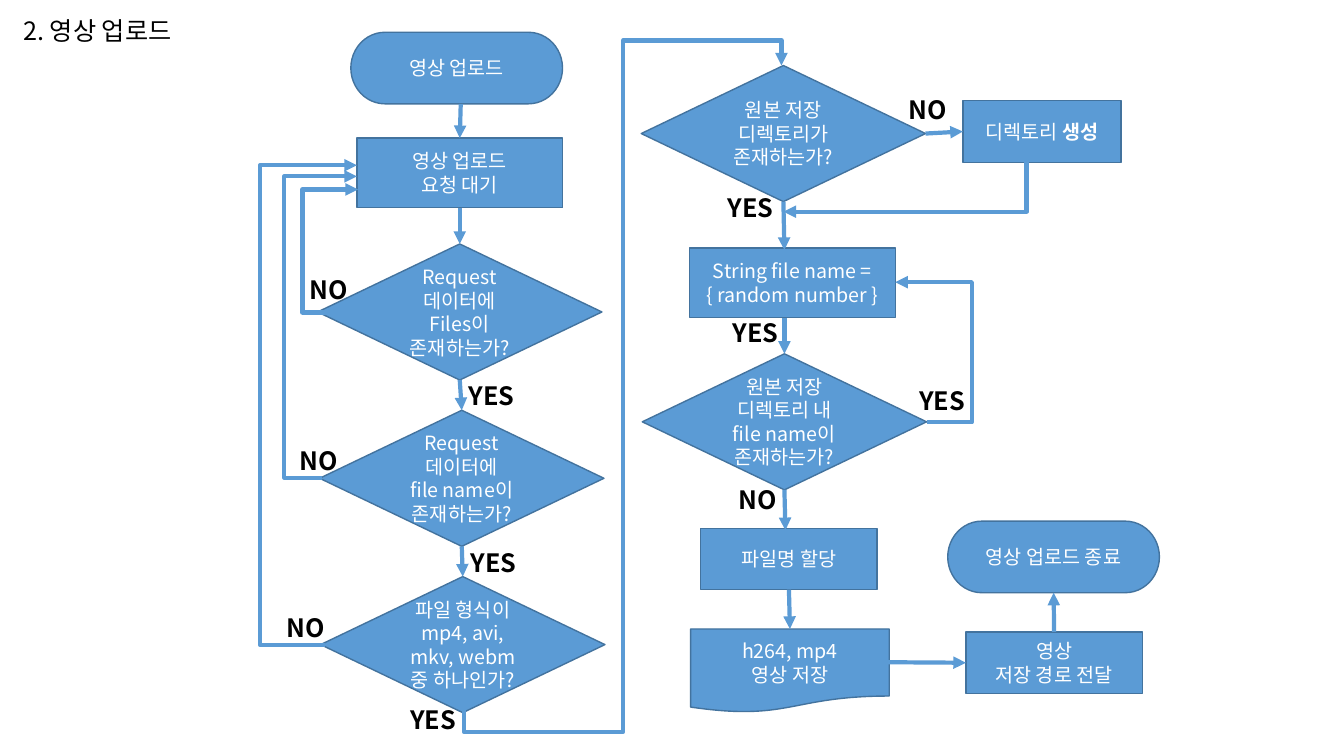
"""Builds the flowchart slide for the video upload procedure."""
from dataclasses import dataclass

from lxml.etree import SubElement
from pptx import Presentation
from pptx.dml.color import RGBColor
from pptx.enum.shapes import MSO_CONNECTOR, MSO_SHAPE
from pptx.enum.text import MSO_ANCHOR, PP_ALIGN
from pptx.oxml.ns import qn
from pptx.shapes.autoshape import Shape
from pptx.shapes.connector import Connector
from pptx.slide import Slide
from pptx.text.text import TextFrame
from pptx.util import Pt

PX = 9144
FONT = "Noto Sans CJK KR"
BLUE = RGBColor(0x5B, 0x9B, 0xD5)
OUTLINE = RGBColor(0x43, 0x73, 0x9E)
WHITE = RGBColor(0xFF, 0xFF, 0xFF)
BLACK = RGBColor(0x00, 0x00, 0x00)

TITLE_FORMAT = {"size": Pt(18), "bold": False, "name": FONT}
LABEL_FORMAT = {"size": Pt(18), "bold": True, "name": FONT}
NODE_FORMAT = {"size": Pt(14), "bold": False, "name": FONT}
STRONG_FORMAT = {**NODE_FORMAT, "bold": True}

TERMINATOR = (MSO_SHAPE.FLOWCHART_TERMINATOR, 210, 71)
DECISION = (MSO_SHAPE.FLOWCHART_DECISION, 282, 135)
PROCESS = (MSO_SHAPE.FLOWCHART_PROCESS, 204, 69)
SMALL_PROCESS = (MSO_SHAPE.FLOWCHART_PROCESS, 175, 61)
NARROW_PROCESS = (MSO_SHAPE.FLOWCHART_PROCESS, 157, 61)
DOCUMENT = (MSO_SHAPE.FLOWCHART_DOCUMENT, 197, 83)

TOP, LEFT, BOTTOM, RIGHT = range(4)
Point = tuple[int, int]
Side = tuple[str, int]


@dataclass(frozen=True)
class Node:
    """A flowchart step; strong_tail is bold text after the last line."""
    name: str
    kind: tuple[MSO_SHAPE, int, int]
    left: int
    top: int
    lines: tuple[str, ...]
    strong_tail: str = ""


@dataclass(frozen=True)
class Arrow:
    """A straight arrow whose ends are points or sides of named nodes."""
    begin: Point | Side
    end: Point | Side


@dataclass(frozen=True)
class Elbow:
    """A bent arrow; turns are coordinates on alternating axes."""
    begin: Point
    end: Point
    turns: tuple[int, ...] = ()
    vertical: bool = False


@dataclass(frozen=True)
class Label:
    """A YES or NO mark beside a branch."""
    text: str
    left: int
    top: int


NODES = (
    Node("start", TERMINATOR, 348, 32, ("영상 업로드",)),
    Node("wait", PROCESS, 354, 137, ("영상 업로드", "요청 대기")),
    Node("has files", DECISION, 315, 242, ("Request", "데이터에", "Files이 존재하는가?")),
    Node("has name", DECISION, 317, 407, ("Request", "데이터에", "file name이 존재하는가?")),
    Node("format", DECISION, 318, 572, ("파일 형식이 mp4, avi, mkv, webm", "중 하나인가?")),
    Node("directory", DECISION, 636, 65, ("원본 저장", "디렉토리가 존재하는가?")),
    Node("create", NARROW_PROCESS, 955, 100, ("디렉토리 ",), "생성"),
    Node("random", PROCESS, 684, 246, ("String file name =", "{ random number }")),
    Node("name taken", DECISION, 637, 351, ("원본 저장", "디렉토리 내", "file name이 존재하는가?")),
    Node("assign", SMALL_PROCESS, 695, 524, ("파일명 할당",)),
    Node("save", DOCUMENT, 685, 624, ("h264, mp4", "영상 저장")),
    Node("send", SMALL_PROCESS, 958, 627, ("영상", "저장 경로 전달")),
    Node("finish", TERMINATOR, 940, 517, ("영상 업로드 종료",)),
)
ARROWS = (
    Arrow((457, 103), ("wait", TOP)),
    Arrow(("wait", BOTTOM), ("has files", TOP)),
    Arrow(("has files", BOTTOM), ("has name", TOP)),
    Arrow(("has name", BOTTOM), ("format", TOP)),
    Arrow(("directory", RIGHT), ("create", LEFT)),
    Arrow(("directory", BOTTOM), (778, 248)),
    Arrow((778, 315), ("name taken", TOP)),
    Arrow(("name taken", BOTTOM), (779, 526)),
    Arrow(("assign", BOTTOM), ("save", TOP)),
    Arrow((880, 657), ("send", LEFT)),
    Arrow(("send", TOP), ("finish", BOTTOM)),
)
ELBOWS = (
    Elbow((323, 310), (355, 188), (300,)),
    Elbow((319, 474), (354, 175), (282,)),
    Elbow((322, 640), (354, 164), (258,)),
    Elbow((919, 419), (888, 280), (964,)),
    Elbow((1018, 161), (777, 210), vertical=True),
    Elbow((460, 703), (775, 65), (726, 618, 40), vertical=True),
)
LABELS = (
    Label("NO", 297, 267), Label("NO", 287, 437), Label("NO", 274, 603),
    Label("YES", 455, 372), Label("YES", 457, 538), Label("YES", 397, 694),
    Label("NO", 891, 89), Label("YES", 712, 186), Label("YES", 717, 310),
    Label("YES", 902, 377), Label("NO", 723, 476),
)


def px(*lengths: float) -> list[int]:
    return [round(length * PX) for length in lengths]


def write(frame: TextFrame, lines: tuple[str, ...], formats: dict, color: RGBColor,
          alignment: PP_ALIGN, anchor: MSO_ANCHOR) -> None:
    frame.word_wrap = True
    frame.vertical_anchor = anchor
    for index, line in enumerate(lines):
        paragraph = frame.add_paragraph() if index else frame.paragraphs[0]
        paragraph.alignment = alignment
        add_run(paragraph, line, formats, color)


def add_run(paragraph, text: str, formats: dict, color: RGBColor) -> None:
    run = paragraph.add_run()
    run.text = text
    for attribute, value in formats.items():
        setattr(run.font, attribute, value)
    run.font.color.rgb = color
    SubElement(run.font._element, qn("a:ea")).set("typeface", FONT)


def draw_node(slide: Slide, node: Node) -> Shape:
    preset, width, height = node.kind
    shape = slide.shapes.add_shape(preset, *px(node.left, node.top, width, height))
    shape.shadow.inherit = False
    shape.fill.solid()
    shape.fill.fore_color.rgb = BLUE
    shape.line.color.rgb = OUTLINE
    shape.line.width = Pt(1)
    write(shape.text_frame, node.lines, NODE_FORMAT, WHITE, PP_ALIGN.CENTER, MSO_ANCHOR.MIDDLE)
    if node.strong_tail:
        add_run(shape.text_frame.paragraphs[-1], node.strong_tail, STRONG_FORMAT, WHITE)
    return shape


def style_arrow(connector: Connector) -> None:
    connector.line.color.rgb = BLUE
    connector.line.width = Pt(3)
    SubElement(connector.line._get_or_add_ln(), qn("a:tailEnd")).set("type", "triangle")
    SubElement(connector._element.spPr, qn("a:effectLst"))


def draw_arrow(slide: Slide, arrow: Arrow, shapes: dict[str, Shape]) -> None:
    ends = [(0, 0) if isinstance(end[0], str) else end for end in (arrow.begin, arrow.end)]
    connector = slide.shapes.add_connector(MSO_CONNECTOR.STRAIGHT, *px(*ends[0], *ends[1]))
    joins = ((arrow.begin, connector.begin_connect), (arrow.end, connector.end_connect))
    for end, join in joins:
        if isinstance(end[0], str):
            join(shapes[end[0]], end[1])
    style_arrow(connector)


def draw_elbow(slide: Slide, elbow: Elbow) -> None:
    (x1, y1), (x2, y2) = elbow.begin, elbow.end
    corners = (x1, y1, x2, y2)
    if elbow.vertical:
        middle_x, middle_y = (x1 + x2) / 2, (y1 + y2) / 2
        half_x, half_y = (x1 - x2) / 2, (y1 - y2) / 2
        corners = (middle_x + half_y, middle_y - half_x, middle_x - half_y, middle_y + half_x)
    connector = slide.shapes.add_connector(MSO_CONNECTOR.ELBOW, *px(*corners))
    properties = connector._element.spPr
    if elbow.vertical:
        properties.find(qn("a:xfrm")).set("rot", "5400000")
    geometry = properties.find(qn("a:prstGeom"))
    geometry.set("prst", f"bentConnector{len(elbow.turns) + 2}")
    guides = geometry.find(qn("a:avLst"))
    for index, turn in enumerate(elbow.turns):
        axis = (index + elbow.vertical) % 2
        share = (turn - elbow.begin[axis]) / (elbow.end[axis] - elbow.begin[axis])
        guide = SubElement(guides, qn("a:gd"))
        guide.set("name", f"adj{index + 1}")
        guide.set("fmla", f"val {round(share * 100000)}")
    style_arrow(connector)


def draw_label(slide: Slide, label: Label) -> None:
    box = slide.shapes.add_textbox(*px(label.left, label.top, 88, 40))
    write(box.text_frame, (label.text,), LABEL_FORMAT, BLACK, PP_ALIGN.LEFT, MSO_ANCHOR.TOP)


def main() -> None:
    presentation = Presentation()
    presentation.slide_width, presentation.slide_height = px(1333, 750)
    slide = presentation.slides.add_slide(presentation.slide_layouts[5])
    title = slide.shapes.title
    title.left, title.top, title.width, title.height = px(13, 10, 272, 40)
    write(title.text_frame, ("2. 영상 업로드",), TITLE_FORMAT, BLACK, PP_ALIGN.LEFT, MSO_ANCHOR.TOP)
    shapes = {node.name: draw_node(slide, node) for node in NODES}
    for arrow in ARROWS:
        draw_arrow(slide, arrow, shapes)
    for elbow in ELBOWS:
        draw_elbow(slide, elbow)
    for label in LABELS:
        draw_label(slide, label)
    presentation.save("out.pptx")


if __name__ == "__main__":
    main()
